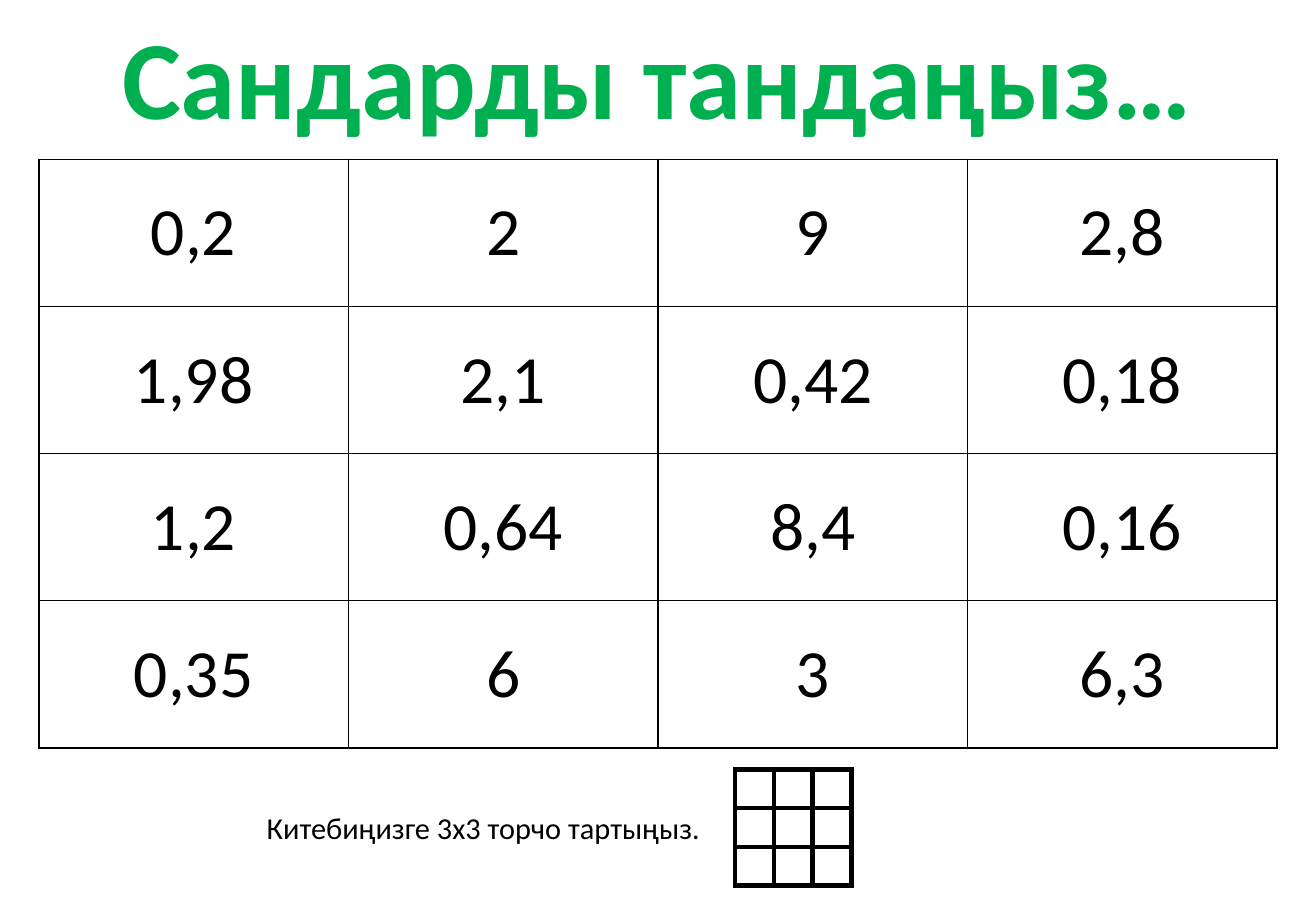
import pptx
import pptx.dml.color
import pptx.enum.text
import pptx.oxml
import pptx.oxml.ns
import pptx.util

Pt = pptx.util.Pt
ALIGN = pptx.enum.text.PP_ALIGN
ANCHOR = pptx.enum.text.MSO_ANCHOR

COLOURS = {"ink": "000000", "paper": "FFFFFF", "title": "00B050"}
FONT = "Calibri"

NUMBERS = [
    ["0,2", "2", "9", "2,8"],
    ["1,98", "2,1", "0,42", "0,18"],
    ["1,2", "0,64", "8,4", "0,16"],
    ["0,35", "6", "3", "6,3"],
]
EMPTY_GRID = [[""] * 3] * 3


def colour(name):
    return pptx.dml.color.RGBColor.from_string(COLOURS[name])


def style_font(para, size, name, bold=False):
    para.font.name = FONT
    para.font.size = Pt(size)
    para.font.bold = bold
    para.font.color.rgb = colour(name)


def add_borders(cell, width):
    properties = cell._tc.get_or_add_tcPr()
    for side in ("lnL", "lnR", "lnT", "lnB"):
        properties.append(pptx.oxml.parse_xml(
            f'<a:{side} {pptx.oxml.ns.nsdecls("a")} w="{Pt(width)}">'
            f'<a:solidFill><a:srgbClr val="{COLOURS["ink"]}"/></a:solidFill>'
            f'</a:{side}>'))


def add_grid(page, box, rows, size, border):
    """Fill the box with an even grid of bordered cells."""
    left, top, width, height = box
    count, across = len(rows), len(rows[0])
    table = page.shapes.add_table(
        count, across, Pt(left), Pt(top), Pt(width), Pt(height)).table
    table.first_row = table.horz_banding = False
    for column in table.columns:
        column.width = Pt(width / across)
    for row, texts in zip(table.rows, rows):
        row.height = Pt(height / count)
        for cell, text in zip(row.cells, texts):
            cell.margin_left = cell.margin_right = 0
            cell.margin_top = cell.margin_bottom = 0
            cell.vertical_anchor = ANCHOR.MIDDLE
            add_borders(cell, border)
            cell.fill.solid()
            cell.fill.fore_color.rgb = colour("paper")
            para = cell.text_frame.paragraphs[0]
            if text:
                para.text = text
            para.alignment = ALIGN.CENTER
            style_font(para, size, "ink")


def add_text(page, box, text, size, name, align=ALIGN.LEFT, bold=False):
    frame = page.shapes.add_textbox(*(Pt(length) for length in box)).text_frame
    frame.word_wrap = False
    frame.auto_size = pptx.enum.text.MSO_AUTO_SIZE.SHAPE_TO_FIT_TEXT
    para = frame.paragraphs[0]
    para.text = text
    para.alignment = align
    style_font(para, size, name, bold)


def add_instruction(page, box):
    """Place the sentence at the left and the 3 by 3 grid at the right."""
    left, top, width, height = box
    add_grid(page, (left + width - height, top, height, height),
             EMPTY_GRID, 12, 3)
    add_text(page, (left, top + 20, 274, 29),
             "Китебиңизге 3х3 торчо тартыңыз.", 18, "ink")


def main():
    deck = pptx.Presentation()
    deck.slide_width, deck.slide_height = Pt(780), Pt(540)
    page = deck.slides.add_slide(deck.slide_layouts[6])

    # Number board
    add_grid(page, (23, 94.4, 734, 349), NUMBERS, 40, 1)
    # Title
    add_text(page, (57, 1.5, 665, 87), "Сандарды тандаңыз…", 66, "title",
             ALIGN.CENTER, True)
    # Instruction with sample grid
    add_instruction(page, (151, 456, 353.7, 69))

    deck.save("out.pptx")


if __name__ == "__main__":
    main()
